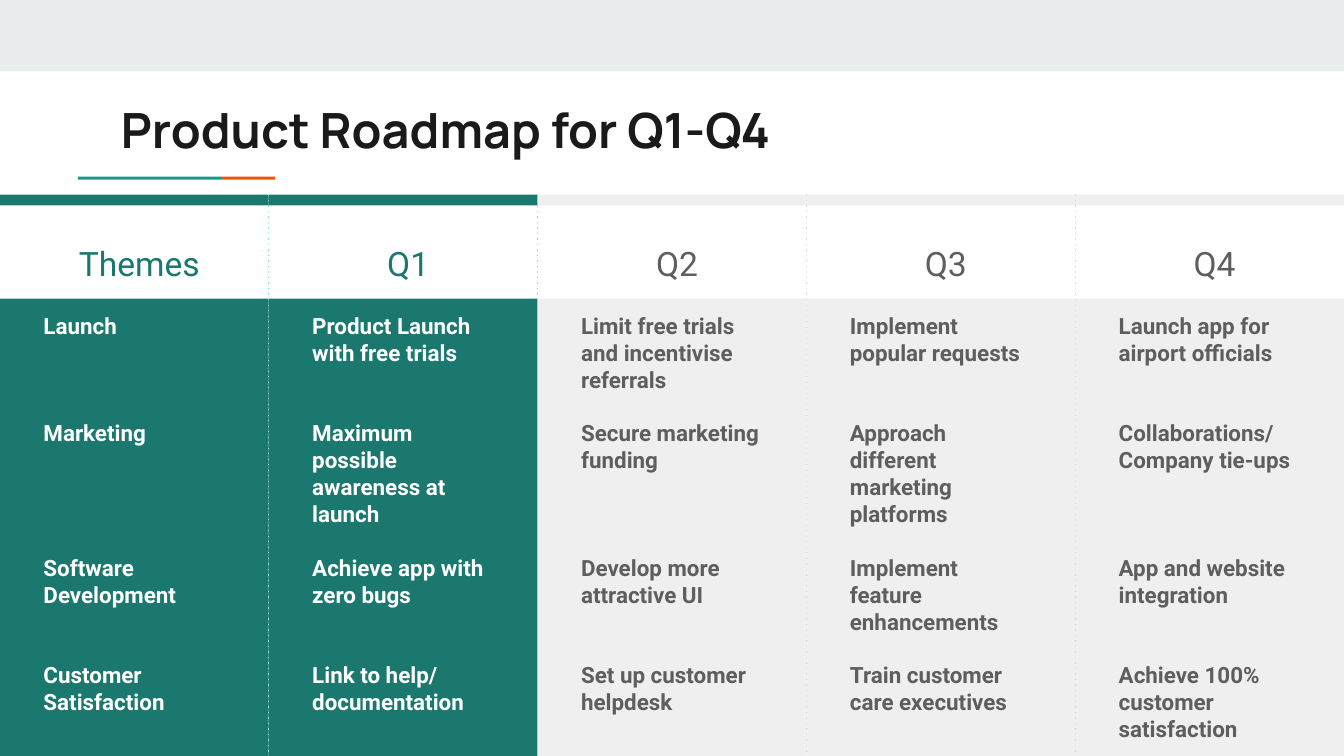
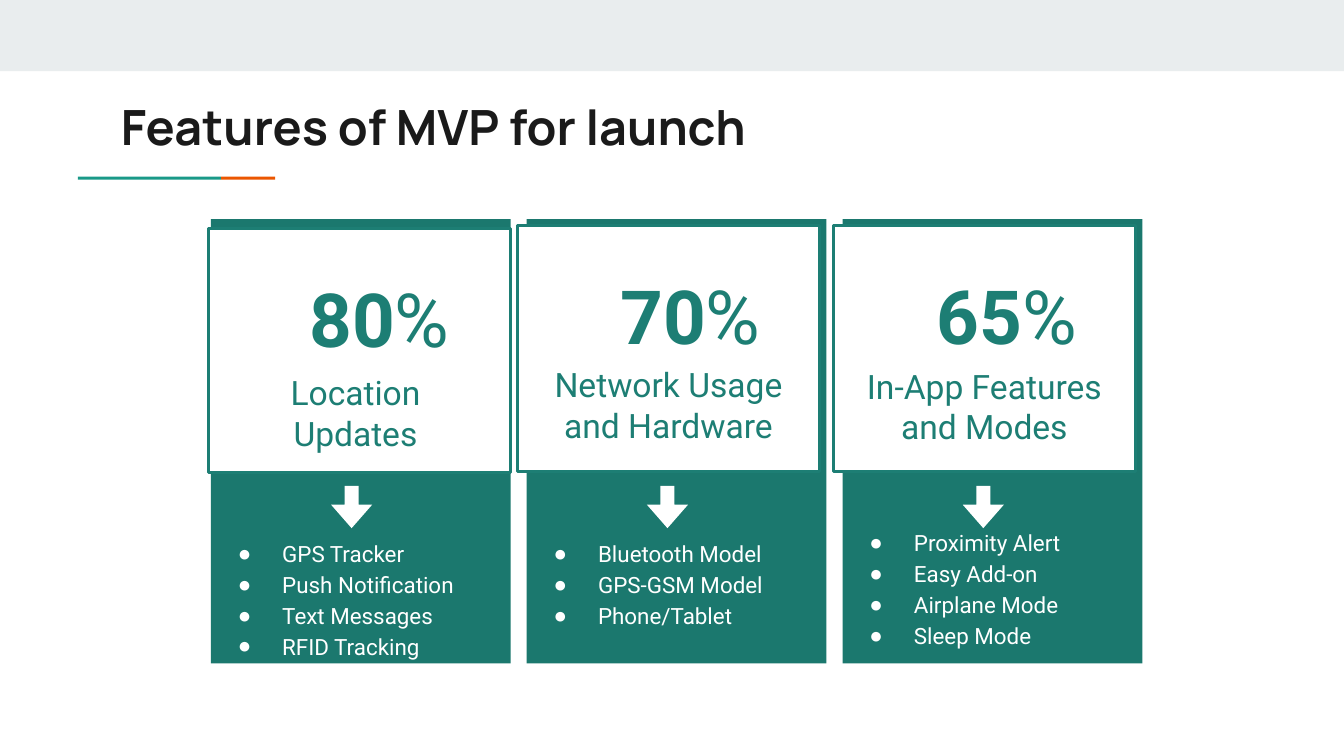
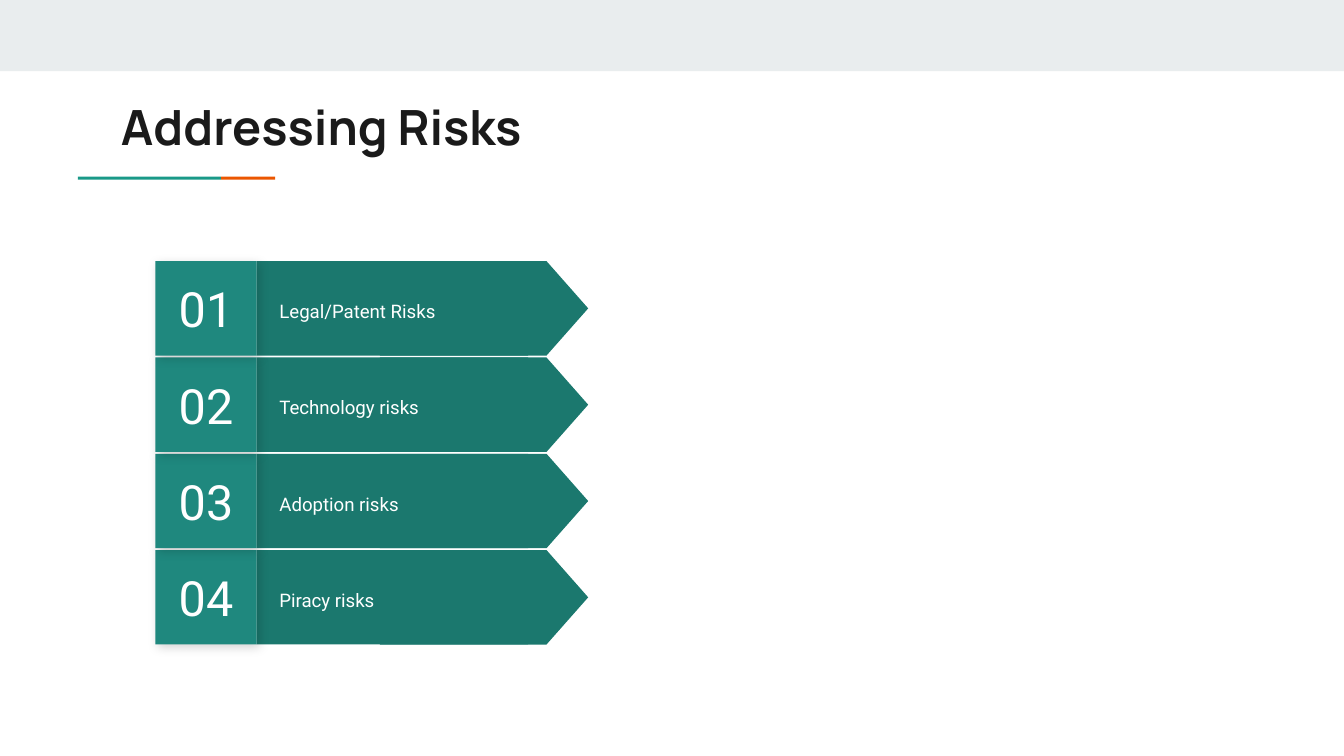
from dataclasses import dataclass
from typing import Any, NamedTuple, Optional

from lxml import etree
from pptx import Presentation
from pptx import util as u
from pptx.dml.color import RGBColor
from pptx.enum import shapes, text
from pptx.oxml.ns import qn

TEAL, PANEL_TEAL, NUMBER_TEAL = "1B786E", "1D7E74", "1F887E"
GREY, GREY_TEXT, WHITE, INK = "EFEFEF", "5E5E5E", "FFFFFF", "1A1A1A"
TEAL_DOTS, GREY_DOTS = "83E3D9", "D9D9D9"

INSET = u.Pt(7.2)
FRAME = {"word_wrap": True, "auto_size": text.MSO_AUTO_SIZE.NONE,
         "vertical_anchor": text.MSO_ANCHOR.TOP,
         "margin_left": INSET, "margin_right": INSET,
         "margin_top": INSET, "margin_bottom": INSET}
CENTRED = {"alignment": text.PP_ALIGN.CENTER}
SPACED = {"line_spacing": 1.15}
MIDDLE = {"vertical_anchor": text.MSO_ANCHOR.MIDDLE}


class Box(NamedTuple):
    left: float
    top: float
    width: float
    height: float


class Goal(NamedTuple):
    blank_lines: int
    wording: str


@dataclass
class Column:
    heading: str
    goals: list[Goal]
    fill: str = GREY
    heading_colour: str = GREY_TEXT
    goal_colour: str = GREY_TEXT
    divider: Optional[str] = GREY_DOTS


@dataclass
class Card:
    share: str
    label: list[str]
    features: list[str]
    panel: Box          # left values are relative to the card
    label_left: float
    label_top: float
    share_left: float
    share_top: float
    list_top: float


TEAL_COLUMN = {"fill": TEAL, "heading_colour": TEAL,
               "goal_colour": WHITE, "divider": TEAL_DOTS}
COLUMNS = [
    Column("Themes", [Goal(0, "Launch"), Goal(3, "Marketing"),
                      Goal(4, "Software Development"),
                      Goal(2, "Customer Satisfaction")], **TEAL_COLUMN),
    Column("Q1", [Goal(0, "Product Launch with free trials"),
                  Goal(2, "Maximum possible awareness at launch"),
                  Goal(1, "Achieve app with zero bugs"),
                  Goal(2, "Link to help/"), Goal(0, "documentation")], **TEAL_COLUMN),
    Column("Q2", [Goal(0, "Limit free trials and incentivise referrals"),
                  Goal(1, "Secure marketing funding"),
                  Goal(3, "Develop more attractive UI"),
                  Goal(2, "Set up customer helpdesk")]),
    Column("Q3", [Goal(0, "Implement popular requests"),
                  Goal(2, "Approach different marketing platforms"),
                  Goal(1, "Implement feature enhancements"),
                  Goal(1, "Train customer care executives")]),
    Column("Q4", [Goal(0, "Launch app for airport officials"),
                  Goal(2, "Collaborations/"), Goal(0, "Company tie-ups"),
                  Goal(3, "App and website integration"),
                  Goal(2, "Achieve 100% customer satisfaction")], divider=None),
]
CARDS = [
    Card("80", ["Location Updates"],
         ["GPS Tracker", "Push Notification", "Text Messages", "RFID Tracking"],
         Box(-1.4, 122.2, 162, 131), 5.8, 192.2, 8.6, 139, 280),
    Card("70", ["Network Usage", "and Hardware"],
         ["Bluetooth Model", "GPS-GSM Model", "Phone/Tablet"],
         Box(-5, 121, 162, 131.8), 4.3, 188, 6, 137.5, 280),
    Card("65", ["In-App Features and Modes"],
         ["Proximity Alert", "Easy Add-on", "Airplane Mode", "Sleep Mode"],
         Box(-5, 121, 162, 131.8), 4.3, 188.6, 6.3, 137.5, 274.3),
]
RISKS = ["Legal/Patent Risks", "Technology risks", "Adoption risks", "Piracy risks"]


def assign(target: Any, values: dict) -> None:
    for name, value in values.items():
        setattr(target, name, value)


def paint(fill: Any, colour: str) -> None:
    fill.solid()
    fill.fore_color.rgb = RGBColor.from_string(colour)


def place(sp: Any, box: Box) -> None:
    assign(sp, {name: u.Pt(value) for name, value in box._asdict().items()})


def add_run(p: Any, wording: str, size: float, colour: str,
            bold: bool = False, name: str = "Roboto") -> None:
    r = p.add_run()
    r.text = wording
    assign(r.font, {"size": u.Pt(size), "bold": bold, "name": name})
    paint(r.font.fill, colour)


def write(sp: Any, lines: list[str], size: float, colour: str, para: dict,
          frame: Optional[dict] = None, **font: Any) -> Any:
    """Fill a shape with one paragraph a line and return its text frame."""
    tf = sp.text_frame
    assign(tf, FRAME | (frame or {}))
    for i, line in enumerate(lines):
        p = tf.add_paragraph() if i else tf.paragraphs[0]
        assign(p, para)
        add_run(p, line, size, colour, **font)
    return tf


def add_block(slide: Any, box: Box, fill: str, line: Optional[str] = None,
              kind: Any = shapes.MSO_SHAPE.RECTANGLE, rotation: float = 0) -> Any:
    sp = slide.shapes.add_shape(kind, *map(u.Pt, box))
    sp.shadow.inherit = False
    sp.rotation = rotation
    paint(sp.fill, fill)
    if line:
        paint(sp.line.fill, line)
        sp.line.width = u.Pt(1.5)
    else:
        sp.line.fill.background()
    return sp


def add_text(slide: Any, box: Box, *args: Any, **kwargs: Any) -> Any:
    return write(slide.shapes.add_textbox(*map(u.Pt, box)), *args, **kwargs)


def add_dotted_line(slide: Any, x: float, top: float, bottom: float, colour: str) -> None:
    line = slide.shapes.add_connector(shapes.MSO_CONNECTOR.STRAIGHT,
                                      *map(u.Pt, (x, top, x, bottom)))
    line.line.width = u.Pt(0.75)
    paint(line.line.fill, colour)
    sp_pr = line.element.spPr
    etree.SubElement(sp_pr.find(qn("a:ln")), qn("a:prstDash"), val="dot")
    etree.SubElement(sp_pr, qn("a:effectLst"))


def add_soft_shadow(sp: Any) -> None:
    effects = sp.element.spPr.find(qn("a:effectLst"))
    shadow = etree.SubElement(effects, qn("a:outerShdw"), blurRad=str(u.Pt(5.6)),
                              dist=str(u.Pt(2.2)), dir="2700000",
                              algn="bl", rotWithShape="0")
    black = etree.SubElement(shadow, qn("a:srgbClr"), val="000000")
    etree.SubElement(black, qn("a:alpha"), val="17000")


def add_bullet(p: Any, colour: str) -> None:
    p_pr = p._p.get_or_add_pPr()
    p_pr.set("marL", str(u.Pt(36)))
    p_pr.set("indent", str(u.Pt(-23.8)))
    bullet_colour = etree.SubElement(p_pr, qn("a:buClr"))
    etree.SubElement(bullet_colour, qn("a:srgbClr"), val=colour)
    etree.SubElement(p_pr, qn("a:buChar"), char="●")


def decorate_master(prs: Any, slide: Any) -> None:
    """Draw the band and title rule, then move them to the slide master."""
    parts = [(Box(0, 0, 720, 38.2), "E9EDEE"),
             (Box(41.8, 94.7, 76.6, 1.6), "1A9988"),
             (Box(118.4, 94.7, 29, 1.6), "EB5600")]
    for i, (box, colour) in enumerate(parts):
        sp = add_block(slide, box, colour)
        sp.element.nvSpPr.cNvPr.set("id", str(100 + i))
        prs.slide_master.shapes.element.insert(2 + i, sp.element)


def add_slide(prs: Any, layout: str, title: str, title_top: float = 44.6) -> Any:
    slide = prs.slides.add_slide(prs.slide_layouts.get_by_name(layout))
    place(slide.shapes.title, Box(57.6, title_top, 605.5, 42.5))
    write(slide.shapes.title, [title], 26, INK,
          {"alignment": text.PP_ALIGN.LEFT}, name="Manrope", bold=True)
    return slide


def draw_column(slide: Any, column: Column, left: float, width: float) -> None:
    line_height = 14.4
    add_block(slide, Box(left, 160, width, 245), column.fill)
    add_block(slide, Box(left, 104.2, width, 5.8), column.fill)
    tf = add_text(slide, Box(left + 16.2, 160, 111.6, 239.5),
                  [goal.wording for goal in column.goals], 12,
                  column.goal_colour, {}, bold=True)
    for p, goal in zip(tf.paragraphs, column.goals):
        p.space_before = u.Pt(line_height * goal.blank_lines)
    add_text(slide, Box(left + 16.2, 119.5, 117, 29.3), [column.heading], 18,
             column.heading_colour, CENTRED | SPACED | {"space_after": u.Pt(16)})
    if column.divider:
        add_dotted_line(slide, left + width, 104.2, 404, column.divider)


def draw_card(slide: Any, card: Card, left: float, feature_list: Any) -> None:
    add_block(slide, Box(left, 117.4, 160.6, 238), TEAL)
    add_block(slide, card.panel._replace(left=left + card.panel.left), WHITE, PANEL_TEAL)
    add_text(slide, Box(left + card.label_left, card.label_top, 143.3, 42),
             card.label, 18, PANEL_TEAL, CENTRED)
    tf = add_text(slide, Box(left + card.share_left, card.share_top, 143.3, 39.6),
                  [card.share], 40, PANEL_TEAL, CENTRED, bold=True)
    p = tf.paragraphs[0]
    p._p.get_or_add_pPr().set("marL", str(u.Pt(20)))
    add_run(p, "%", 40, PANEL_TEAL)

    arrow = add_block(slide, Box(left + 64, 260.6, 22.7, 22), WHITE,
                      kind=shapes.MSO_SHAPE.RIGHT_ARROW, rotation=90)
    for i, value in enumerate((0.342, 0.57)):
        arrow.adjustments[i] = value

    place(feature_list, Box(left - 5, card.list_top, 160.6, 63.4))
    tf = write(feature_list, card.features, 12, WHITE,
               SPACED | {"space_before": u.Pt(0)})
    for p in tf.paragraphs:
        add_bullet(p, WHITE)
    slide.shapes.element.append(feature_list.element)  # bring to front


def draw_risk(slide: Any, number: int, risk: str, top: float) -> None:
    height = 50.6
    add_block(slide, Box(137.5, top, 145.4, height), TEAL)
    add_block(slide, Box(234, top - 30.5, height, 111.6), TEAL,
              kind=shapes.MSO_SHAPE.FLOWCHART_OFFPAGE_CONNECTOR, rotation=270)
    add_text(slide, Box(142.6, top + 6.4, 152.6, 38.9), [risk], 10, WHITE, SPACED, MIDDLE)
    tile = add_block(slide, Box(83.3, top, 54.2, height), NUMBER_TEAL)
    add_soft_shadow(tile)
    write(tile, [f"{number:02}"], 26, WHITE, CENTRED, MIDDLE)


def main() -> None:
    prs = Presentation()
    prs.slide_width, prs.slide_height = u.Pt(720), u.Pt(405)

    roadmap = add_slide(prs, "Title Only", "Product Roadmap for Q1-Q4", 46.6)
    decorate_master(prs, roadmap)
    width = 720 / len(COLUMNS)
    for i, column in reversed(list(enumerate(COLUMNS))):
        draw_column(roadmap, column, i * width, width)

    features = add_slide(prs, "Comparison", "Features of MVP for launch")
    *lists, spare = list(features.placeholders)[1:]
    spare.element.getparent().remove(spare.element)
    for i, (card, feature_list) in enumerate(zip(CARDS, lists)):
        draw_card(features, card, 113 + i * 169.2, feature_list)

    risks = add_slide(prs, "Title Only", "Addressing Risks")
    for i, risk in reversed(list(enumerate(RISKS))):
        draw_risk(risks, i + 1, risk, 139.9 + i * 51.6)

    prs.save("out.pptx")


if __name__ == "__main__":
    main()
